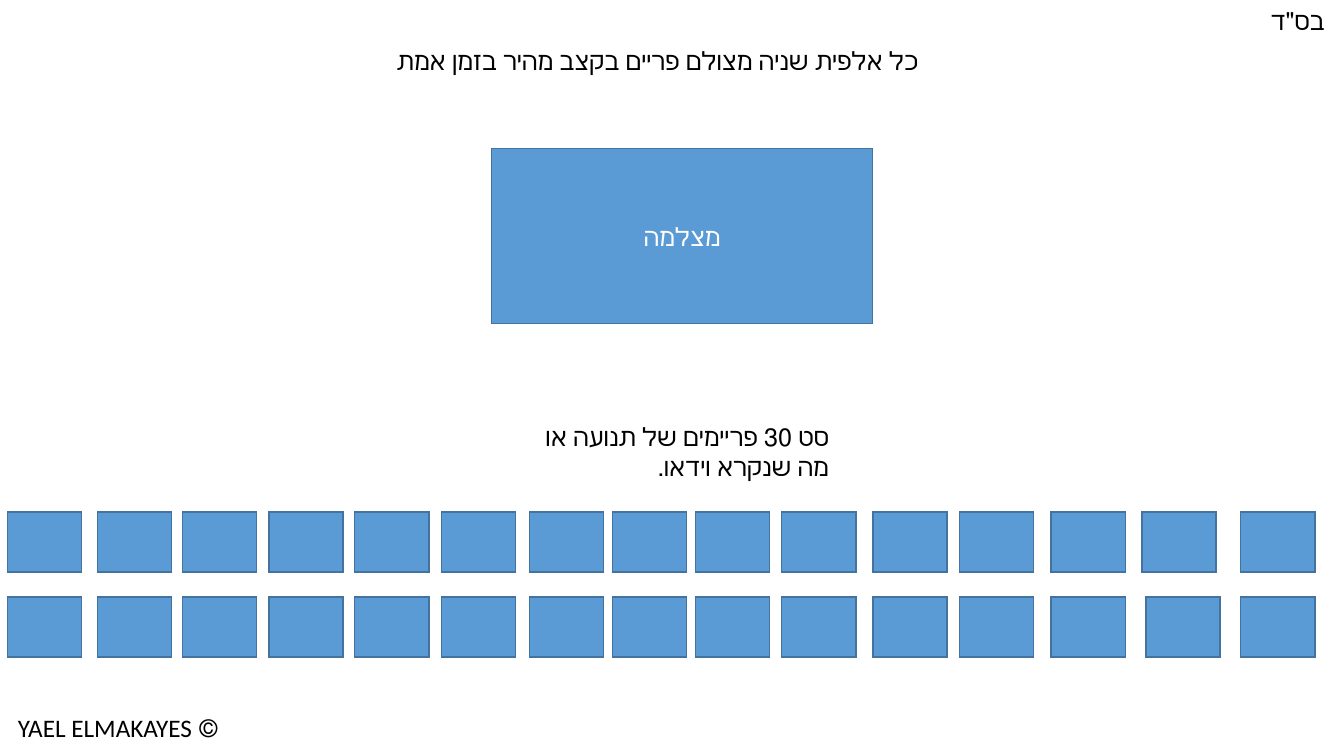
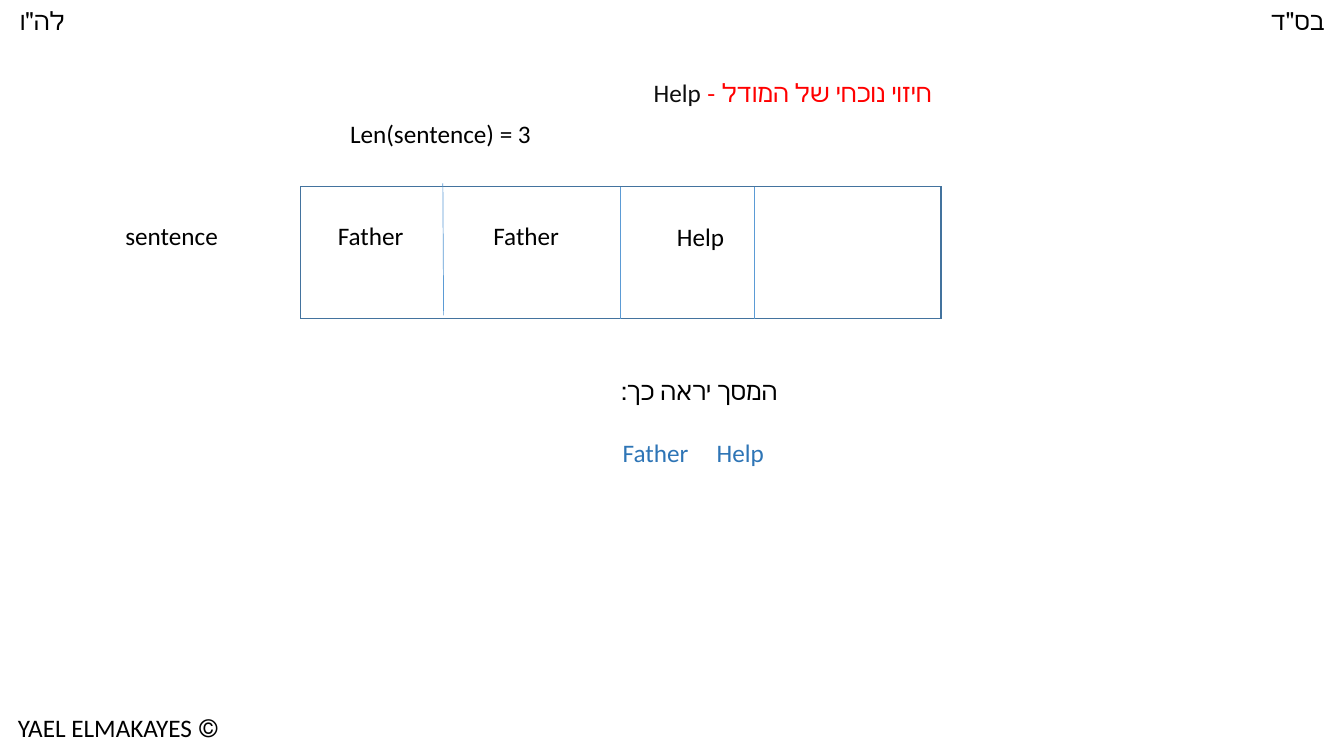
import pptx
import pptx.util
import pptx.dml.color
import pptx.enum.shapes
import pptx.enum.text
import pptx.oxml
import pptx.oxml.ns
from dataclasses import dataclass

Cm = pptx.util.Cm
Pt = pptx.util.Pt
RGB = pptx.dml.color.RGBColor.from_string
PP_ALIGN = pptx.enum.text.PP_ALIGN
DRAWING_NS = pptx.oxml.ns.nsdecls("a")


@dataclass(frozen=True)
class Theme:
    font: str = "Calibri"
    size: int = 18
    ink: str = "000000"
    soft_ink: str = "0D0D0D"
    white: str = "FFFFFF"
    red: str = "FF0000"
    screen_blue: str = "2E75B6"
    block: str = "5B9BD5"
    outline: str = "43739E"
    outline_width: float = 1
    divider_width: float = 0.5


theme = Theme()


def write(shape, text, color=theme.ink, align=PP_ALIGN.RIGHT):
    """Append a right-to-left run to the first paragraph of the shape."""
    shape.text_frame.word_wrap = True
    paragraph = shape.text_frame.paragraphs[0]
    paragraph.alignment = align
    paragraph._p.get_or_add_pPr().set("rtl", "1")
    run = paragraph.add_run()
    run.text = text
    run.font.size = Pt(theme.size)
    run.font.color.rgb = RGB(color)
    run.font.name = theme.font


def add_block(slide, left, top, width, height, fill=theme.block):
    block = slide.shapes.add_shape(
        pptx.enum.shapes.MSO_SHAPE.RECTANGLE,
        Cm(left), Cm(top), Cm(width), Cm(height))
    block.shadow.inherit = False
    block.fill.solid()
    block.fill.fore_color.rgb = RGB(fill)
    block.line.color.rgb = RGB(theme.outline)
    block.line.width = Pt(theme.outline_width)
    # Sharp outline corners
    block.line._get_or_add_ln().append(
        pptx.oxml.parse_xml(f'<a:miter {DRAWING_NS} lim="800000"/>'))
    return block


deck = pptx.Presentation()
deck.slide_width, deck.slide_height = Cm(33.87), Cm(19.05)
video_slide = deck.slides.add_slide(deck.slide_layouts[6])
model_slide = deck.slides.add_slide(deck.slide_layouts[6])

# Camera
camera = add_block(video_slide, 12.39, 3.74, 9.6, 4.42)
write(camera, "מצלמה", color=theme.white, align=PP_ALIGN.CENTER)

# Thirty video frames: two rows that differ in one column only
frame_lefts = [0.19, 2.46, 4.6, 6.78, 8.94, 11.12, 13.34, 15.44,
               17.53, 19.7, 22, 24.18, 26.49, 31.27]
for frame_top, shifted_left in ((12.9, 28.78), (15.04, 28.88)):
    for frame_left in frame_lefts + [shifted_left]:
        add_block(video_slide, frame_left, frame_top, 1.87, 1.52)

# Sentence array and its dividers
sentence = add_block(model_slide, 7.57, 4.7, 16.15, 3.33, fill=theme.white)
dividers = []
for start_x, start_y, end_x, end_y in [(11.16, 4.62, 11.18, 7.95),
                                       (15.65, 4.7, 15.65, 8.03),
                                       (19, 4.7, 19, 8.03)]:
    divider = model_slide.shapes.add_connector(
        pptx.enum.shapes.MSO_CONNECTOR.STRAIGHT,
        Cm(start_x), Cm(start_y), Cm(end_x), Cm(end_y))
    divider.line.color.rgb = RGB(theme.block)
    divider.line.width = Pt(theme.divider_width)
    divider._element.spPr.append(
        pptx.oxml.parse_xml(f'<a:effectLst {DRAWING_NS}/>'))
    dividers.append(divider)
dividers[1].begin_connect(sentence, 0)
dividers[1].end_connect(sentence, 2)

# Texts: position, width, height, then runs of (text, colour)
line = 1.02
shared_texts = [
    (31.5, 0, 2.13, line, [('בס"ד', theme.ink)]),
    (-0.41, 17.83, 6.17, 1.8, [("© YAEL ELMAKAYES", theme.ink)]),
]
video_texts = [
    (8.84, 1.02, 14.55, line,
     [("כל אלפית שניה מצולם פריים בקצב מהיר בזמן אמת", theme.ink)]),
    (12.55, 10.49, 8.59, 1.8,
     [("סט 30 פריימים של תנועה או מה שנקרא וידאו.", theme.ink)]),
]
model_texts = [
    (0, 0, 1.88, line, [('לה"ו', theme.ink)]),
    (15.27, 1.83, 8.46, line,
     [("חיזוי נוכחי של המודל - ", theme.red), ("Help", theme.soft_ink)]),
    (7.97, 2.86, 5.66, line, [("Len(sentence) = 3", theme.ink)]),
    (2.34, 5.42, 3.4, line, [("sentence", theme.ink)]),
    (7.07, 5.42, 3.35, line, [("Father", theme.ink)]),
    (11.62, 5.42, 2.72, line, [("Father", theme.ink)]),
    (15.78, 5.46, 2.72, line, [("Help", theme.ink)]),
    (14.35, 9.33, 5.49, line, [("המסך יראה כך:", theme.ink)]),
    (14.85, 10.9, 2.75, line, [("Father", theme.screen_blue)]),
    (17.4, 10.9, 2.1, line, [("Help", theme.screen_blue)]),
]
for slide, texts in ((video_slide, shared_texts + video_texts),
                     (model_slide, shared_texts + model_texts)):
    for left, top, width, height, runs in texts:
        caption = slide.shapes.add_textbox(Cm(left), Cm(top), Cm(width), Cm(height))
        caption.text_frame.auto_size = pptx.enum.text.MSO_AUTO_SIZE.SHAPE_TO_FIT_TEXT
        for text, color in runs:
            write(caption, text, color=color)

deck.save("out.pptx")
